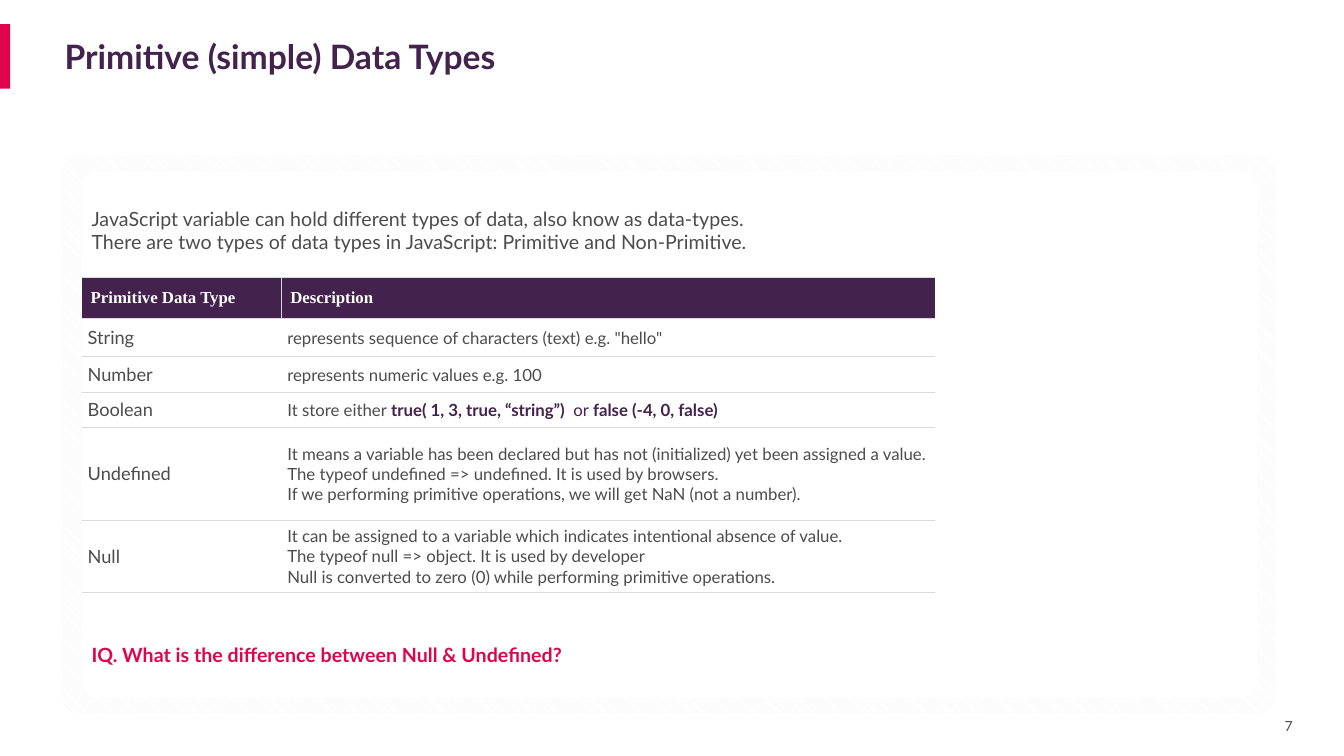
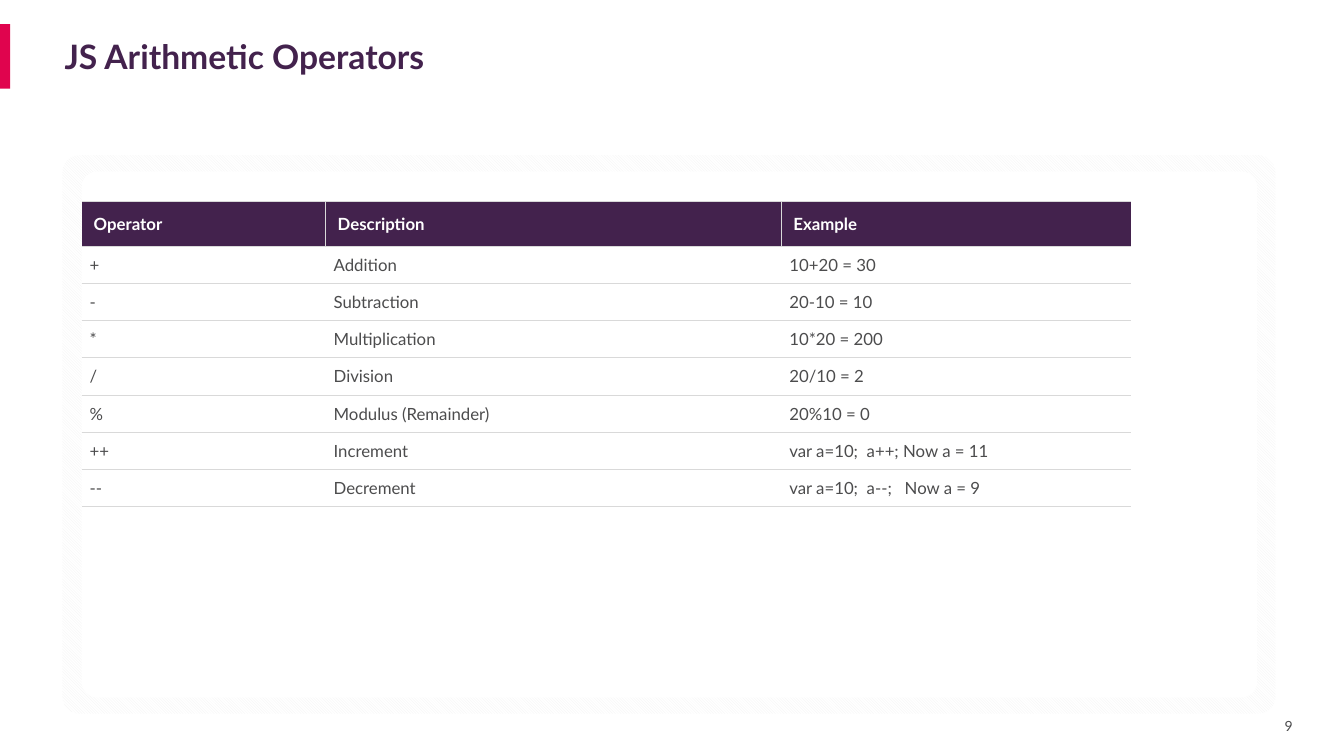
from lxml import etree
from pptx import Presentation
from pptx.dml.color import RGBColor
from pptx.enum.dml import MSO_PATTERN
from pptx.enum.shapes import MSO_SHAPE
from pptx.enum.text import MSO_ANCHOR, PP_ALIGN
from pptx.oxml.ns import qn
from pptx.util import Inches, Pt

RECT, ROUNDED = MSO_SHAPE.RECTANGLE, MSO_SHAPE.ROUNDED_RECTANGLE
TOP, MIDDLE = MSO_ANCHOR.TOP, MSO_ANCHOR.MIDDLE
LEFT, CENTER = PP_ALIGN.LEFT, PP_ALIGN.CENTER
HATCH = MSO_PATTERN.LIGHT_DOWNWARD_DIAGONAL

# Shared look
FONT, SERIF = "Lato", "Times New Roman"
PURPLE, PINK, GRAY, WHITE = "43224D", "E0044E", "4C4C4D", "FFFFFF"
RULE, HATCH_GRAY = "D9D9D9", "F2F2F2"
CARD_LEFT, CARD_WIDTH = 0.81, 11.66

# Content: a cell is text (one line per paragraph) or a list of (text, colour, bold) runs
INTRO = """JavaScript variable can hold different types of data, also know as data-types.
There are two types of data types in JavaScript: Primitive and Non-Primitive."""
QUESTION = "IQ. What is the difference between Null & Undefined?"

DATA_TYPES = [
    ("Primitive Data Type", "Description"),
    ("String", 'represents sequence of characters (text) e.g. "hello"'),
    ("Number", "represents numeric values e.g. 100"),
    ("Boolean", [
        ("It store either ", GRAY, False),
        ("true( 1, 3, true, “string”) ", PURPLE, True),
        (" or ", PURPLE, False),
        ("false (-4, 0, false)", PURPLE, True),
    ]),
    ("Undefined", """It means a variable has been declared but has not (initialized) yet been assigned a value.
The typeof undefined => undefined. It is used by browsers.
If we performing primitive operations, we will get NaN (not a number)."""),
    ("Null", """It can be assigned to a variable which indicates intentional absence of value.
The typeof null => object. It is used by developer
Null is converted to zero (0) while performing primitive operations."""),
]

OPERATORS = [
    ("Operator", "Description", "Example"),
    ("+", "Addition", "10+20 = 30"),
    ("-", "Subtraction", "20-10 = 10"),
    ("*", "Multiplication", "10*20 = 200"),
    ("/", "Division", "20/10 = 2"),
    ("%", "Modulus (Remainder)", "20%10 = 0"),
    ("++", "Increment", "var a=10;  a++; Now a = 11"),
    ("--", "Decrement", "var a=10;  a--;   Now a = 9"),
]


def rgb(hex_color):
    return RGBColor.from_string(hex_color)


def set_font(font, size, color, bold=False, name=FONT):
    font.name, font.size, font.bold = name, Pt(size), bold
    font.color.rgb = rgb(color)


def write(frame, content, size, color, bold=False, name=FONT, align=LEFT, spacing=None):
    """Fill a text frame with lines of text, or with one paragraph of styled runs."""
    if isinstance(content, list):
        for text, run_color, run_bold in content:
            run = frame.paragraphs[0].add_run()
            run.text = text
            set_font(run.font, size, run_color, run_bold, name)
        return
    frame.text = content
    for paragraph in frame.paragraphs:
        paragraph.alignment = align
        if spacing:
            paragraph.line_spacing = spacing
        set_font(paragraph.font, size, color, bold, name)


def add_text(slide, box, content, size, color, anchor=TOP, side_inset=0.1, **style):
    frame = slide.shapes.add_textbox(*map(Inches, box)).text_frame
    frame.word_wrap = True
    frame.vertical_anchor = anchor
    frame.margin_left = frame.margin_right = Inches(side_inset)
    write(frame, content, size, color, **style)


def add_block(slide, box, kind, color, pattern=None):
    block = slide.shapes.add_shape(kind, *map(Inches, box))
    block.shadow.inherit = False
    block.line.fill.background()
    if kind == ROUNDED:
        block.adjustments[0] = 0.03
    if pattern:
        block.fill.patterned()
        block.fill.pattern = pattern
        block.fill.fore_color.rgb = rgb(color)
        block.fill.back_color.rgb = rgb(WHITE)
    else:
        block.fill.solid()
        block.fill.fore_color.rgb = rgb(color)


def set_borders(cell, drawn, width):
    """Draw the named sides (letters of LRTB) and clear the others."""
    properties = cell._tc.get_or_add_tcPr()
    for side in "LRTB":
        line = etree.SubElement(properties, qn(f"a:ln{side}"), w=str(Pt(width)))
        if side in drawn:
            fill = etree.SubElement(line, qn("a:solidFill"))
            etree.SubElement(fill, qn("a:srgbClr"), val=RULE)
        else:
            etree.SubElement(line, qn("a:noFill"))


def add_grid(slide, top, rows, widths, heights, head_inset, body_inset,
             rule, head_font=FONT, first_size=12):
    table = slide.shapes.add_table(
        len(rows), len(widths), Inches(CARD_LEFT), Inches(top),
        Inches(sum(widths)), Inches(sum(heights))).table
    table.horz_banding = False
    for column, width in zip(table.columns, widths):
        column.width = Inches(width)
    for r, (row, height) in enumerate(zip(rows, heights)):
        table.rows[r].height = Inches(height)
        for c, content in enumerate(row):
            cell, head = table.cell(r, c), r == 0
            sides = "TB"
            if head:
                sides += ("L" if c > 0 else "") + ("R" if c < len(row) - 1 else "")
            set_borders(cell, sides, rule)
            cell.fill.solid()
            cell.fill.fore_color.rgb = rgb(PURPLE if head else WHITE)
            cell.vertical_anchor = MIDDLE
            inset = Inches(head_inset if head else body_inset)
            cell.margin_left = cell.margin_right = inset
            cell.margin_top = cell.margin_bottom = inset
            if head:
                write(cell.text_frame, content, 12, WHITE, bold=True, name=head_font)
            else:
                write(cell.text_frame, content, first_size if c == 0 else 12, GRAY)


def add_base(deck, title, number):
    """Start a slide with accent bar, page number, title and framed card."""
    slide = deck.slides.add_slide(deck.slide_layouts[6])
    add_block(slide, (0, 0.24, 0.1, 0.64), RECT, PINK)
    add_text(slide, (12.57, 7.08, 0.42, 0.25), number, 10, GRAY, MIDDLE, align=CENTER)
    add_text(slide, (0.64, 0.24, 12.01, 0.64), title, 24, PURPLE, MIDDLE, 0, bold=True)
    add_block(slide, (0.62, 1.54, 12.03, 5.54), ROUNDED, HATCH_GRAY, HATCH)
    add_block(slide, (CARD_LEFT, 1.7, CARD_WIDTH, 5.22), ROUNDED, WHITE)
    return slide


def main():
    deck = Presentation()
    deck.slide_width, deck.slide_height = Inches(13.33), Inches(7.5)

    # Data types
    slide = add_base(deck, "Primitive (simple) Data Types", "7")
    add_text(slide, (CARD_LEFT, 2, CARD_WIDTH, 0.57), INTRO, 14, GRAY)
    add_grid(slide, 2.75, DATA_TYPES, (1.98, 6.48), (0.41, 0.38, 0.35, 0.35, 0.92, 0.72),
             0.09, 0.06, rule=0.75, head_font=SERIF, first_size=13)
    add_text(slide, (CARD_LEFT, 6.36, CARD_WIDTH, 0.31), QUESTION, 14, PINK,
             bold=True, spacing=0.9)

    # Operators
    slide = add_base(deck, "JS Arithmetic Operators", "9")
    heights = [0.44] + [0.37] * (len(OPERATORS) - 1)
    add_grid(slide, 2, OPERATORS, (2.42, 4.52, 3.47), heights, 0.12, 0.08, rule=0.5)

    deck.save("out.pptx")


if __name__ == "__main__":
    main()
